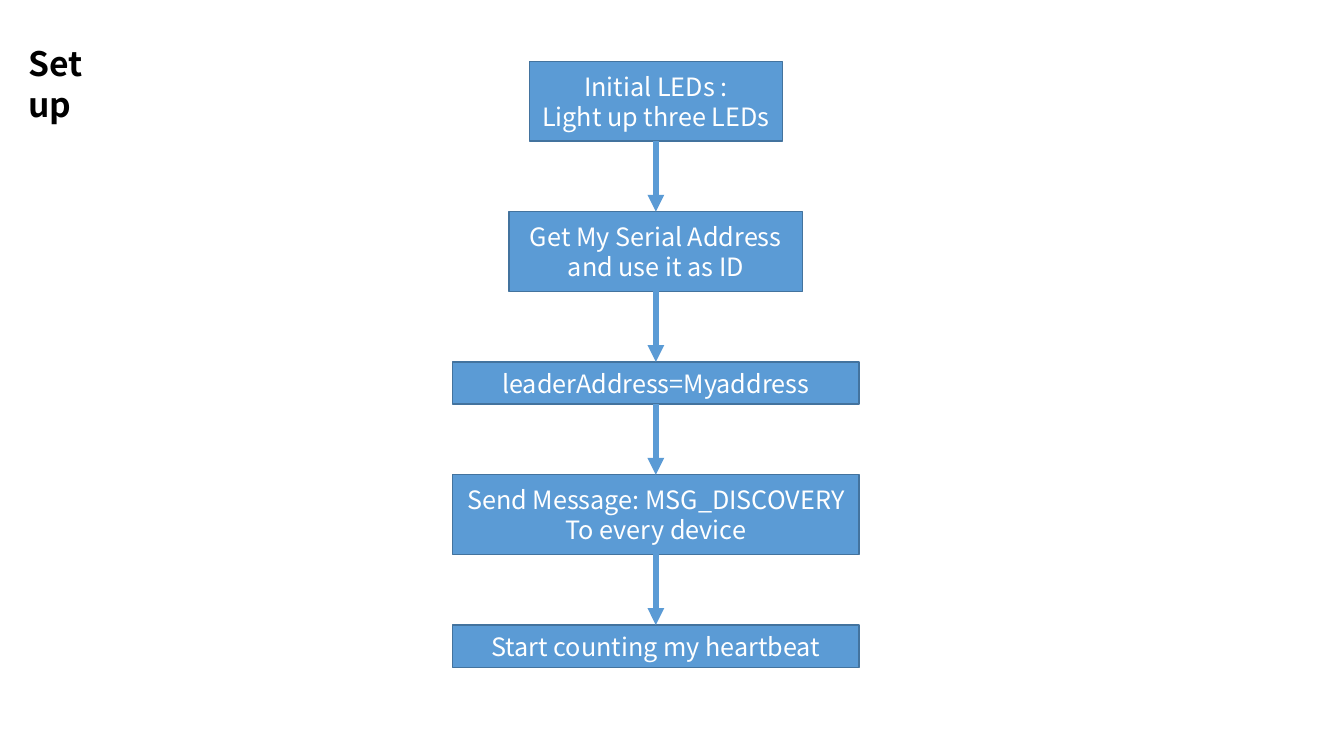
from itertools import pairwise

from lxml.etree import SubElement
from pptx import Presentation
from pptx.dml.color import RGBColor
from pptx.enum.shapes import MSO_CONNECTOR, MSO_SHAPE
from pptx.enum.text import MSO_ANCHOR, MSO_AUTO_SIZE, PP_ALIGN
from pptx.oxml.ns import qn
from pptx.util import Inches, Pt

COLORS = {"fill": "5B9BD5", "edge": "43739E", "text": "FFFFFF", "title": "000000"}
FONT = "Noto Sans CJK SC"
GAP = 0.7
TALL, LOW = 0.79, 0.42

# Width, height and text of each step, top to bottom
STEPS = [
    (2.51, TALL, "Initial LEDs :\nLight up three LEDs"),
    (2.91, TALL, "Get My Serial Address\nand use it as ID"),
    (4.03, LOW, "leaderAddress=Myaddress"),
    (4.03, TALL, "Send Message: MSG_DISCOVERY\nTo every device"),
    (4.03, LOW, "Start counting my heartbeat"),
]


def color(name):
    return RGBColor.from_string(COLORS[name])


def style(frame, align, tint, **font):
    for para in frame.paragraphs:
        para.alignment = align
        for run in para.runs:
            for key, value in {"name": FONT, **font}.items():
                setattr(run.font, key, value)
            run.font.color.rgb = color(tint)


def add_title(slide, left, top, width, height):
    title = slide.shapes.title
    place = {"left": left, "top": top, "width": width, "height": height}
    for key, value in place.items():
        setattr(title, key, Inches(value))
    frame = title.text_frame
    frame.text = "Set up"
    form = {"word_wrap": True, "auto_size": MSO_AUTO_SIZE.NONE,
            "vertical_anchor": MSO_ANCHOR.TOP}
    for key, value in form.items():
        setattr(frame, key, value)
    style(frame, PP_ALIGN.LEFT, "title", size=Pt(24), bold=True)


def add_step(slide, left, top, width, height, text):
    box = slide.shapes.add_shape(
        MSO_SHAPE.RECTANGLE, *map(Inches, (left, top, width, height)))
    box.shadow.inherit = False
    box.fill.solid()
    box.fill.fore_color.rgb = color("fill")
    box.line.color.rgb = color("edge")
    box.line.width = Pt(1)
    box.text_frame.text = text
    box.text_frame.vertical_anchor = MSO_ANCHOR.MIDDLE
    style(box.text_frame, PP_ALIGN.CENTER, "text", size=Pt(18))
    return box


def add_arrow(slide, start, end):
    arrow = slide.shapes.add_connector(MSO_CONNECTOR.STRAIGHT, 0, 0, 0, 0)
    arrow.begin_connect(start, 2)
    arrow.end_connect(end, 0)
    arrow.line.color.rgb = color("fill")
    arrow.line.width = Pt(4)
    SubElement(arrow.line._get_or_add_ln(), qn("a:tailEnd"), type="triangle")
    SubElement(arrow._element.spPr, qn("a:effectLst"))


def add_flow(slide, left, top, width):
    boxes = []
    for wide, high, text in STEPS:
        side = left + (width - wide) / 2
        boxes.append(add_step(slide, side, top, wide, high, text))
        top += high + GAP
    for start, end in pairwise(boxes):
        add_arrow(slide, start, end)


def main():
    deck = Presentation()
    deck.slide_width, deck.slide_height = Inches(13.33), Inches(7.5)
    slide = deck.slides.add_slide(deck.slide_layouts[5])
    add_title(slide, 0.18, 0.38, 1.18, 0.9)
    add_flow(slide, 4.49, 0.61, 4.03)
    deck.save("out.pptx")


if __name__ == "__main__":
    main()
